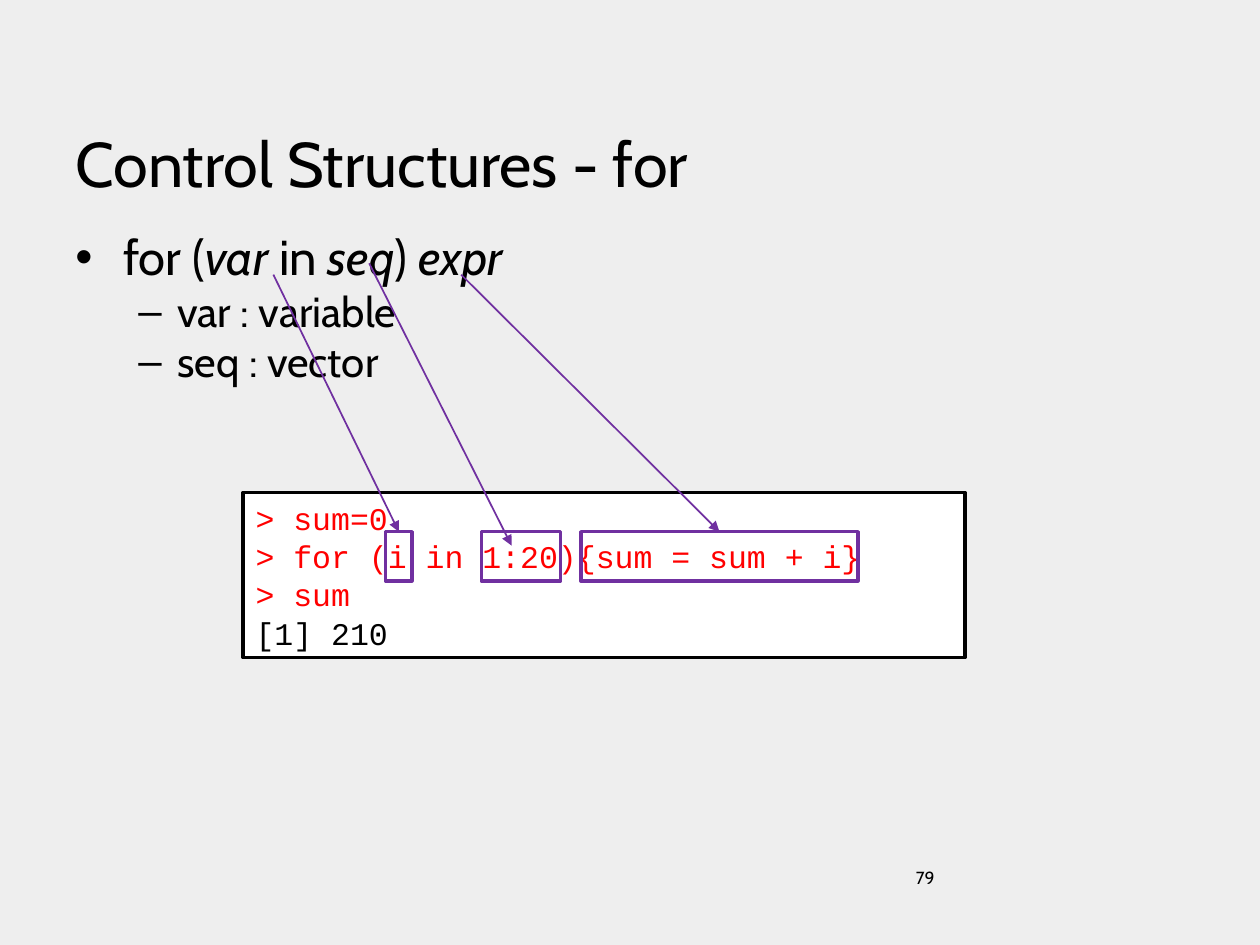
from lxml.etree import SubElement
from pptx import Presentation
from pptx.dml.color import RGBColor
from pptx.enum.shapes import MSO_CONNECTOR, MSO_SHAPE
from pptx.enum.text import MSO_ANCHOR, MSO_AUTO_SIZE, PP_ALIGN
from pptx.oxml.ns import qn
from pptx.util import Inches, Pt

COLORS = {"background": "EEEEEE", "text": "000000", "panel": "FFFFFF",
          "input": "FF0000", "mark": "7030A0"}
BODY_FONT, CODE_FONT = "Cabin", "Courier New"

TITLE = "Control Structures - for"
BULLETS = [
    (0, [("for (", False), ("var", True), (" in ", False),
         ("seq", True), (") ", False), ("expr", True)]),
    (1, [("var : variable", False)]),
    (1, [("seq :\u00a0vector", False)]),
]
LEVELS = [
    {"size": 28, "bullet": "•", "margin": 0.38, "indent": -0.38},
    {"size": 24, "bullet": "–", "margin": 0.81, "indent": -0.31},
]
CODE = [("> sum=0", "input"), ("> for (i in 1:20){sum = sum + i}", "input"),
        ("> sum", "input"), ("[1] 210", "text")]
PAGE_NUMBER = "79"
MARK_TOP, MARK_HEIGHT = 4.22, 0.39
MARKS = [
    {"left": 3.06, "width": 0.21, "start": (2.17, 2.18), "inside": None},
    {"left": 3.82, "width": 0.63, "start": (2.93, 2.09), "inside": (4.06, 4.33)},
    {"left": 4.61, "width": 2.2, "start": (3.66, 2.18), "inside": None},
]


def color(name):
    return RGBColor.from_string(COLORS[name])


def add_span(para, text, size, font=BODY_FONT, tone="text", italic=False):
    span = para.add_run()
    span.text = text
    span.font.size = Pt(size)
    span.font.name = font
    span.font.italic = italic
    span.font.color.rgb = color(tone)


def next_para(frame, index):
    return frame.paragraphs[0] if index == 0 else frame.add_paragraph()


def add_text_box(page, *place):
    box = page.shapes.add_textbox(*map(Inches, place))
    box.text_frame.word_wrap = True
    return box.text_frame


def add_rectangle(page, place, line, fill=None):
    box = page.shapes.add_shape(MSO_SHAPE.RECTANGLE, *map(Inches, place))
    box.shadow.inherit = False
    if fill:
        box.fill.solid()
        box.fill.fore_color.rgb = color(fill)
    else:
        box.fill.background()
    box.line.color.rgb = color(line)
    box.line.width = Pt(2)
    return box


def add_title(page):
    title = page.shapes.title
    title.left, title.top, title.width, title.height = map(Inches, (0.5, 0.39, 9, 1.25))
    frame = title.text_frame
    frame.auto_size = MSO_AUTO_SIZE.NONE
    frame.vertical_anchor = MSO_ANCHOR.BOTTOM
    para = frame.paragraphs[0]
    para.alignment = PP_ALIGN.LEFT
    add_span(para, TITLE, 36)


def add_bullets(page):
    frame = add_text_box(page, 0.5, 1.75, 9, 4.95)
    for index, (level, spans) in enumerate(BULLETS):
        style = LEVELS[level]
        para = next_para(frame, index)
        para.level = level
        settings = para._p.get_or_add_pPr()
        settings.set("marL", str(Inches(style["margin"])))
        settings.set("indent", str(Inches(style["indent"])))
        SubElement(settings, qn("a:buFont"), typeface="Arial")
        SubElement(settings, qn("a:buChar"), char=style["bullet"])
        for text, italic in spans:
            add_span(para, text, style["size"], italic=italic)


def add_code(page):
    panel = add_rectangle(page, (1.93, 3.91, 5.73, 1.31), "text", "panel")
    frame = panel.text_frame
    frame.word_wrap = True
    frame.vertical_anchor = MSO_ANCHOR.TOP
    for index, (text, tone) in enumerate(CODE):
        para = next_para(frame, index)
        para.alignment = PP_ALIGN.LEFT
        para.line_spacing = Pt(21.8)
        add_span(para, text, 18, CODE_FONT, tone)


def add_mark(page, mark):
    box = add_rectangle(page, (mark["left"], MARK_TOP, mark["width"], MARK_HEIGHT), "mark")
    end = mark["inside"] or (mark["left"] + mark["width"] / 2, MARK_TOP)
    arrow = page.shapes.add_connector(
        MSO_CONNECTOR.STRAIGHT, *map(Inches, (*mark["start"], *end)))
    if not mark["inside"]:
        arrow.end_connect(box, 0)
    arrow.line.color.rgb = color("mark")
    arrow.line.width = Pt(1)
    SubElement(arrow.line._get_or_add_ln(), qn("a:tailEnd"), type="triangle")
    SubElement(arrow._element.spPr, qn("a:effectLst"))


def main():
    deck = Presentation()
    deck.slide_width, deck.slide_height = Inches(10), Inches(7.5)
    page = deck.slides.add_slide(deck.slide_layouts[5])
    page.background.fill.solid()
    page.background.fill.fore_color.rgb = color("background")
    add_title(page)
    add_bullets(page)
    number = add_text_box(page, 7.17, 6.83, 2.33, 0.52)
    add_span(number.paragraphs[0], PAGE_NUMBER, 10)
    add_code(page)
    for mark in MARKS:
        add_mark(page, mark)
    deck.save("out.pptx")


if __name__ == "__main__":
    main()
